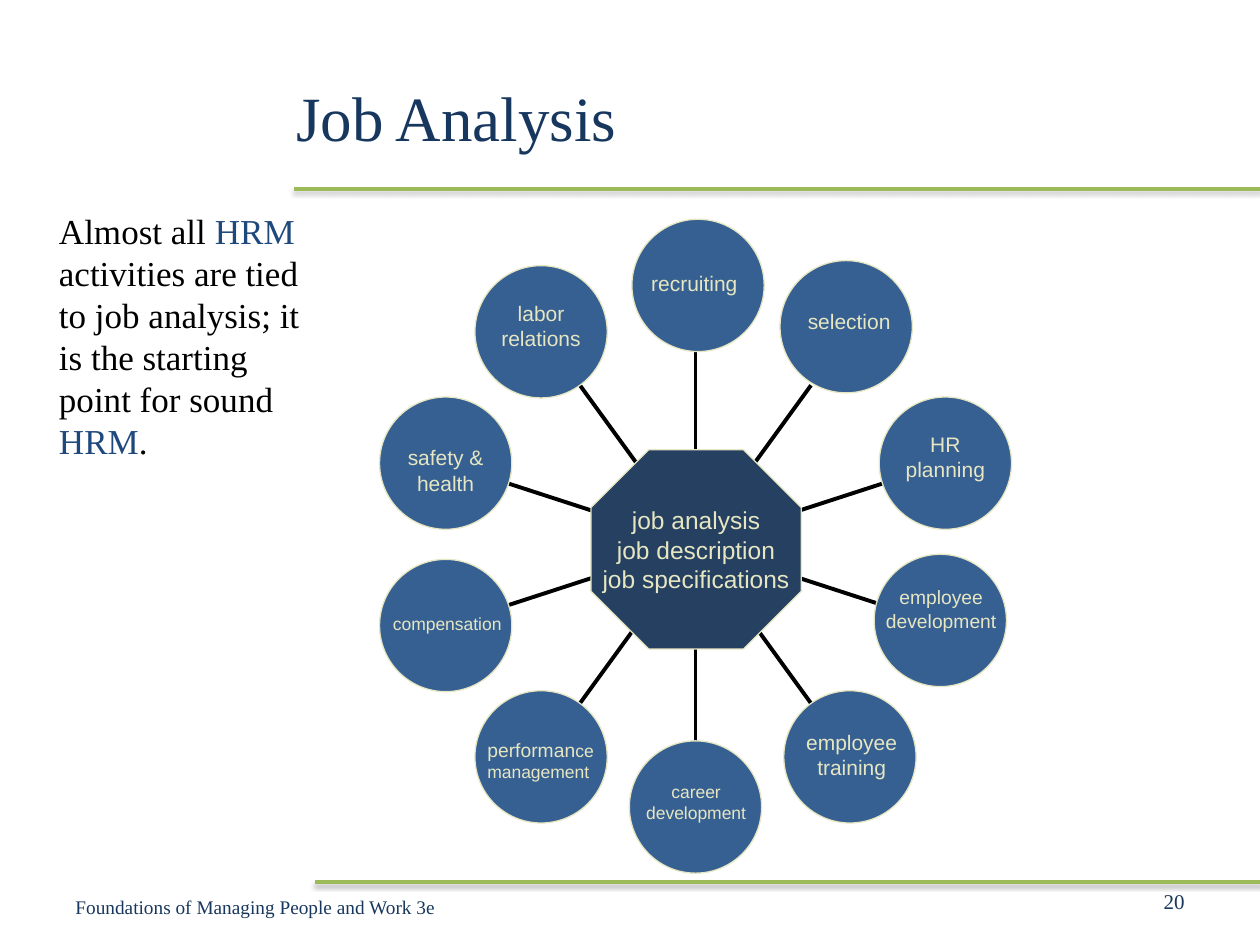
from dataclasses import dataclass
from math import cos, radians, sin

from lxml.etree import SubElement
from pptx import Presentation
from pptx.dml.color import RGBColor
from pptx.enum.shapes import MSO_CONNECTOR, MSO_SHAPE
from pptx.enum.text import MSO_ANCHOR, MSO_AUTO_SIZE, PP_ALIGN
from pptx.oxml.ns import qn
from pptx.util import Inches, Pt


@dataclass(frozen=True)
class Theme:
    serif: str = "Times New Roman"
    sans: str = "Arial"
    navy: str = "17375E"
    accent: str = "1F497D"
    black: str = "000000"
    green: str = "9BBB59"
    disc: str = "376092"
    hub: str = "254061"
    cream: str = "E6E6C2"
    title: float = 36
    body: float = 20
    core: float = 14
    label: float = 12
    small: float = 11
    tiny: float = 10


THEME = Theme()
LEFT, CENTER, RIGHT = PP_ALIGN.LEFT, PP_ALIGN.CENTER, PP_ALIGN.RIGHT
HUB = (5.52, 4.32)
SPOKE_IN, SPOKE_OUT, ORBIT = 0.52, 1.56, 2.085
DISC = 1.05

# Clockwise from the top: lines, type size, nudge off the orbit, label box
# (None keeps the label in the disc), alignment, and top and bottom insets.
NODES = [
    (["recruiting"], THEME.label, (0.02, 0.03), (5.07, 2.1, 0.94, 0.3), LEFT, None),
    (["selection"], THEME.label, (-0.03, -0.04), (6.3, 2.4, 0.88, 0.3), CENTER, None),
    (["HR", "planning"], THEME.label, (0, 0), None, CENTER, (0, 0.1)),
    (["employee", "development"], THEME.small, (-0.04, -0.04),
     (6.91, 4.6, 1.12, 0.47), CENTER, None),
    (["employee", "training"], THEME.label, (0, 0), (6.28, 5.74, 0.96, 0.5), CENTER, None),
    (["career", "development"], THEME.tiny, (0, 0), (5.01, 6.15, 1.03, 0.43), CENTER, None),
    ([[("performan", {"size": Pt(THEME.small)}), ("ce", {})], "management"],
     THEME.tiny, (0, 0), (3.77, 5.81, 1.1, 0.45), LEFT, None),
    (["compensation"], THEME.tiny, (0, 0), (3.02, 4.82, 1.1, 0.27), LEFT, None),
    (["safety &", "health"], THEME.label, (0, 0), None, CENTER, (0.11, 0)),
    (["labor", "relations"], THEME.label, (0, 0), None, CENTER, (0, 0.1)),
]


def apply(target, values):
    for name, value in values.items():
        setattr(target, name, value)


def color(code):
    return RGBColor.from_string(code)


def place(shape, box):
    apply(shape, dict(zip(("left", "top", "width", "height"), map(Inches, box))))


def write(frame, lines, size, tint, face, align=LEFT):
    """Fill a frame; a line is a string or a list of (text, font values) runs."""
    for i, line in enumerate(lines):
        para = frame.paragraphs[0] if i == 0 else frame.add_paragraph()
        para.alignment = align
        for text, extra in [(line, {})] if isinstance(line, str) else line:
            run = para.add_run()
            run.text = text
            run.font.color.rgb = color(tint)
            apply(run.font, {"size": Pt(size), "name": face, **extra})


def add_text(slide, box, lines, size, tint, face, align=LEFT, **values):
    frame = slide.shapes.add_textbox(*map(Inches, box)).text_frame
    apply(frame, {"word_wrap": True, **values})
    write(frame, lines, size, tint, face, align)
    return frame


def add_line(slide, start, end, tint, width, shadow=False):
    ends = map(Inches, (*start, *end))
    line = slide.shapes.add_connector(MSO_CONNECTOR.STRAIGHT, *ends)
    line.line.color.rgb = color(tint)
    line.line.width = Pt(width)
    effects = SubElement(line._element.spPr, qn("a:effectLst"))
    if shadow:
        outer = SubElement(effects, qn("a:outerShdw"), blurRad=str(Pt(3.1)),
                           dist=str(Pt(1.6)), dir="5400000", rotWithShape="0")
        tone = SubElement(outer, qn("a:srgbClr"), val=THEME.black)
        SubElement(tone, qn("a:alpha"), val="38000")


def add_solid(slide, kind, box, fill):
    shape = slide.shapes.add_shape(kind, *map(Inches, box))
    shape.shadow.inherit = False
    shape.fill.solid()
    shape.fill.fore_color.rgb = color(fill)
    shape.line.color.rgb = color(THEME.cream)
    shape.line.width = Pt(0.75)
    return shape


def polar(radius, angle):
    """Point at a clockwise angle from the top of the hub."""
    turn = radians(angle)
    return HUB[0] + radius * sin(turn), HUB[1] - radius * cos(turn)


def add_node(slide, angle, nudge):
    add_line(slide, polar(SPOKE_IN, angle), polar(SPOKE_OUT, angle), THEME.black, 2.25)
    x, y = (mid + off - DISC / 2 for mid, off in zip(polar(ORBIT, angle), nudge))
    return add_solid(slide, MSO_SHAPE.OVAL, (x, y, DISC, DISC), THEME.disc)


def add_label(slide, disc, lines, size, box, align, insets):
    if box:
        add_text(slide, box, lines, size, THEME.cream, THEME.sans, align,
                 auto_size=MSO_AUTO_SIZE.SHAPE_TO_FIT_TEXT)
        return
    top, bottom = map(Inches, insets)
    apply(disc.text_frame, {"margin_left": 0, "margin_right": 0, "margin_top": top,
                            "margin_bottom": bottom,
                            "vertical_anchor": MSO_ANCHOR.MIDDLE})
    write(disc.text_frame, lines, size, THEME.cream, THEME.sans, align)


def add_wheel(slide):
    step = 360 / len(NODES)
    discs = [add_node(slide, i * step, node[2]) for i, node in enumerate(NODES)]
    hub = add_solid(slide, MSO_SHAPE.OCTAGON, (4.69, 3.57, 1.67, 1.58), THEME.hub)
    hub.adjustments[0] = 0.29
    apply(hub.text_frame, {"word_wrap": False, "vertical_anchor": MSO_ANCHOR.MIDDLE})
    write(hub.text_frame, ["job analysis", "job description", "job specifications"],
          THEME.core, THEME.cream, THEME.sans, CENTER)
    for disc, (lines, size, _, box, align, insets) in zip(discs, NODES):
        add_label(slide, disc, lines, size, box, align, insets)


def add_title(slide, text):
    title = slide.shapes.title
    place(title, (2.25, 0.3, 7.25, 1.25))
    title.text_frame.vertical_anchor = MSO_ANCHOR.MIDDLE
    write(title.text_frame, [text], THEME.title, THEME.navy, THEME.serif)


def add_intro(slide):
    accent = {"color": THEME.accent}
    runs = [("Almost all ", {}), ("HRM", {}),
            (" activities are tied to job analysis; it is the starting point for sound ", {}),
            ("HRM", {}), (".", {})]
    frame = add_text(slide, (0.37, 1.61, 2.26, 3.1), [runs],
                     THEME.body, THEME.black, THEME.serif)
    para = frame.paragraphs[0]
    para.space_before = Pt(4)
    for run in para.runs:
        if run.text == "HRM":
            run.font.color.rgb = color(accent["color"])


def add_footer(slide):
    middle = {"vertical_anchor": MSO_ANCHOR.MIDDLE}
    add_text(slide, (7.17, 6.95, 2.33, 0.4), ["20"], THEME.label,
             THEME.navy, THEME.serif, RIGHT, **middle)
    add_text(slide, (0.5, 7, 3.75, 0.4), ["Foundations of Managing People and Work 3e"],
             THEME.small, THEME.navy, THEME.serif, **middle)


def main():
    deck = Presentation()
    apply(deck, {"slide_width": Inches(10), "slide_height": Inches(7.5)})
    slide = deck.slides.add_slide(deck.slide_layouts[5])
    for left, top in ((2.33, 1.5), (2.5, 7)):
        add_line(slide, (left, top), (10, top), THEME.green, 2, shadow=True)
    add_title(slide, "Job Analysis")
    add_footer(slide)
    add_intro(slide)
    add_wheel(slide)
    deck.save("out.pptx")


if __name__ == "__main__":
    main()
